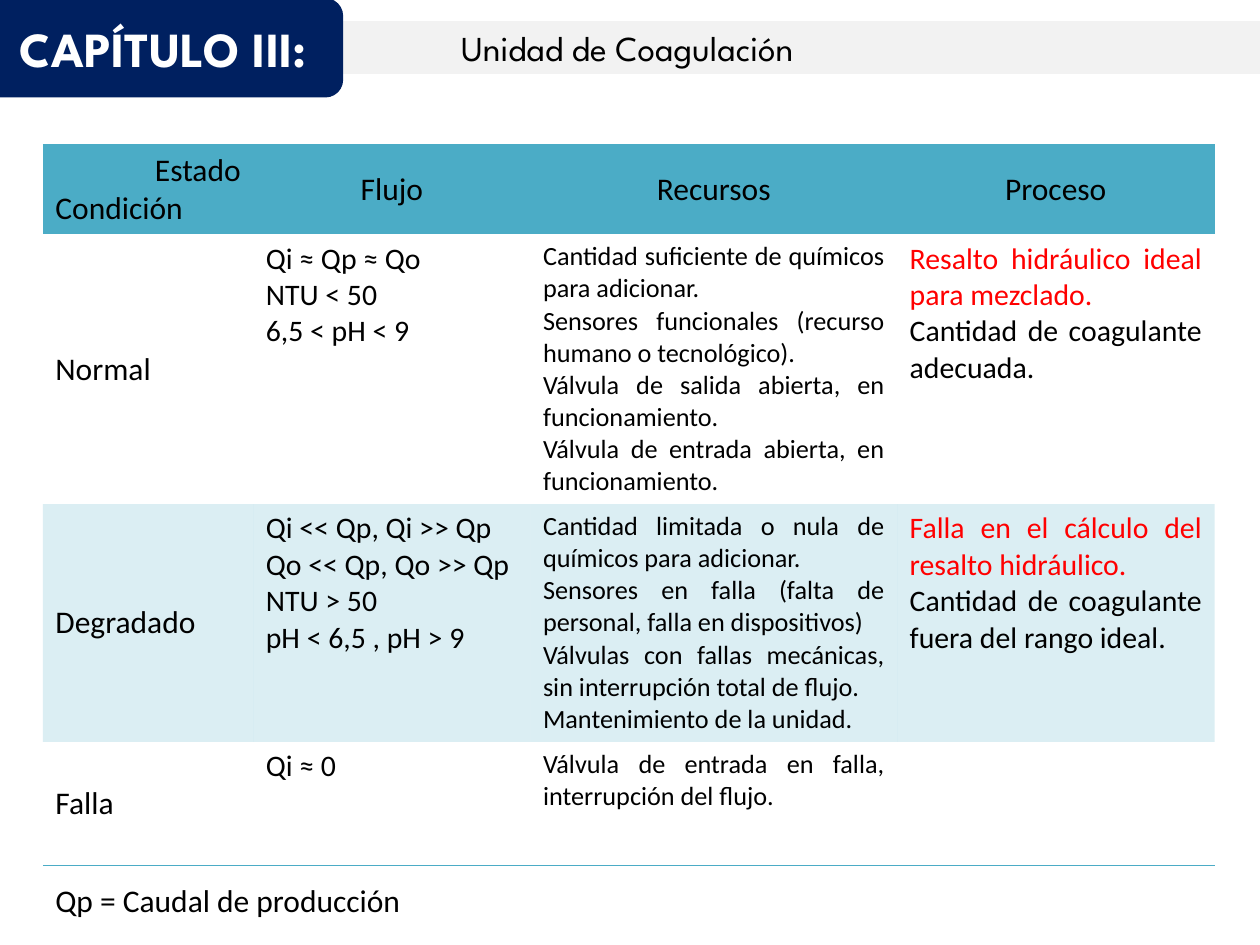
from lxml import etree
from pptx import Presentation
from pptx.dml.color import RGBColor
from pptx.enum import shapes, text
from pptx.oxml.ns import qn
from pptx.util import Inches, Pt

NAVY = RGBColor(0x00, 0x20, 0x60)
TEAL = RGBColor(0x4B, 0xAC, 0xC6)
GREY = RGBColor(0xF2, 0xF2, 0xF2)
RED = RGBColor(0xFF, 0x00, 0x00)
BLACK = RGBColor(0x00, 0x00, 0x00)
WHITE = RGBColor(0xFF, 0xFF, 0xFF)

LEFT, CENTER, RIGHT, JUSTIFY = (
    text.PP_ALIGN.LEFT, text.PP_ALIGN.CENTER, text.PP_ALIGN.RIGHT, text.PP_ALIGN.JUSTIFY)
TOP, MIDDLE, BOTTOM = (
    text.MSO_ANCHOR.TOP, text.MSO_ANCHOR.MIDDLE, text.MSO_ANCHOR.BOTTOM)

NO_STYLE = "{2D5ABB26-0587-4C30-8999-92F81FD0307C}"
COLUMN_WIDTHS = (1.67, 2.2, 2.91, 2.52)
ROW_HEIGHTS = (0.67, 2.01, 1.77, 0.98)
HEADINGS = ("Flujo", "Recursos", "Proceso")
CONDITIONS = (
    ("Normal",
     ("Qi ≈ Qp ≈ Qo", "NTU < 50", "6,5 < pH < 9"),
     ("Cantidad suficiente de químicos para adicionar.",
      "Sensores funcionales (recurso humano o tecnológico).",
      "Válvula de salida abierta, en funcionamiento.",
      "Válvula de entrada abierta, en funcionamiento."),
     ("Resalto hidráulico ideal para mezclado.",
      "Cantidad de coagulante adecuada.")),
    ("Degradado",
     ("Qi << Qp, Qi >> Qp", "Qo << Qp, Qo >> Qp", "NTU > 50", "pH < 6,5 , pH > 9"),
     ("Cantidad limitada o nula de químicos para adicionar.",
      "Sensores en falla (falta de personal, falla en dispositivos)",
      "Válvulas con fallas mecánicas, sin interrupción total de flujo.",
      "Mantenimiento de la unidad."),
     ("Falla en el cálculo del resalto hidráulico.",
      "Cantidad de coagulante fuera del rango ideal.")),
    ("Falla",
     ("Qi ≈ 0",),
     ("Válvula de entrada en falla, interrupción del flujo.",),
     ()),
)


def write(frame, lines, size=18, font="Calibri", bold=False,
          aligns=(LEFT,), colors=(BLACK,)):
    """One paragraph per line; the last alignment and colour serve the remaining lines."""
    for i, line in enumerate(lines):
        paragraph = frame.paragraphs[0] if i == 0 else frame.add_paragraph()
        paragraph.alignment = aligns[min(i, len(aligns) - 1)]
        run = paragraph.add_run()
        run.text = line
        run.font.size = Pt(size)
        run.font.name = font
        run.font.bold = bold
        run.font.color.rgb = colors[min(i, len(colors) - 1)]


def paint(shape, color):
    shape.fill.solid()
    shape.fill.fore_color.rgb = color
    shape.line.color.rgb = color
    shape.line.width = Pt(2)


def add_header(slide, left, top, width):
    unit = slide.shapes.title
    unit.left, unit.top = left + Inches(2.68), top + Inches(0.18)
    unit.width, unit.height = width - Inches(2.68), Inches(0.39)
    paint(unit, GREY)
    frame = unit.text_frame
    frame.auto_size = text.MSO_AUTO_SIZE.NONE
    frame.vertical_anchor = MIDDLE
    frame.margin_left = Inches(1.1)
    write(frame, ["Unidad de Coagulación"], size=20, font="League Spartan")

    chapter = slide.shapes.add_shape(
        shapes.MSO_SHAPE.ROUNDED_RECTANGLE, left, top, Inches(2.83), Inches(0.76))
    chapter.shadow.inherit = False
    paint(chapter, NAVY)
    chapter.text_frame.vertical_anchor = MIDDLE
    write(chapter.text_frame, ["CAPÍTULO III:"], size=28, font="League Spartan",
          bold=True, aligns=[CENTER], colors=[WHITE])


def add_border(cell, side):
    border = etree.SubElement(cell._tc.get_or_add_tcPr(), qn(side), w=str(Pt(1)))
    fill = etree.SubElement(border, qn("a:solidFill"))
    etree.SubElement(fill, qn("a:srgbClr"), val=str(TEAL))


def shade(cell):
    """Teal at 20 % opacity."""
    cell.fill.solid()
    cell.fill.fore_color.rgb = TEAL
    color = cell._tc.tcPr.find(".//" + qn("a:solidFill") + "/" + qn("a:srgbClr"))
    etree.SubElement(color, qn("a:alpha"), val="20000")


def fill_cell(cell, lines, anchor=TOP, **format):
    cell.vertical_anchor = anchor
    write(cell.text_frame, lines, **format)


def add_states_table(slide, left, top):
    states = slide.shapes.add_table(
        len(ROW_HEIGHTS), len(COLUMN_WIDTHS), left, top,
        Inches(sum(COLUMN_WIDTHS)), Inches(sum(ROW_HEIGHTS))).table
    states.first_row = states.horz_banding = False
    states._tbl.tblPr.find(qn("a:tableStyleId")).text = NO_STYLE
    for column, width in zip(states.columns, COLUMN_WIDTHS):
        column.width = Inches(width)
    for r, (row, height) in enumerate(zip(states.rows, ROW_HEIGHTS)):
        row.height = Inches(height)
        for cell in row.cells:
            if r == 0:
                add_border(cell, "a:lnT")
            elif r == len(ROW_HEIGHTS) - 1:
                add_border(cell, "a:lnB")
            if r % 2 == 0:
                shade(cell)
            else:
                cell.fill.background()

    fill_cell(states.cell(0, 0), ["Estado", "Condición"], BOTTOM, aligns=[RIGHT, LEFT])
    for c, heading in enumerate(HEADINGS, 1):
        fill_cell(states.cell(0, c), [heading], MIDDLE, aligns=[CENTER])
    for r, (condition, flow, resources, process) in enumerate(CONDITIONS, 1):
        fill_cell(states.cell(r, 0), [condition], MIDDLE)
        fill_cell(states.cell(r, 1), flow, size=17)
        fill_cell(states.cell(r, 2), resources, size=15, aligns=[JUSTIFY])
        fill_cell(states.cell(r, 3), process, size=17, aligns=[JUSTIFY],
                  colors=[RED, BLACK])


def add_legend(slide, left, top):
    legend = slide.shapes.add_textbox(left, top, Inches(2.98), Inches(0.4)).text_frame
    legend.word_wrap = False
    legend.auto_size = text.MSO_AUTO_SIZE.SHAPE_TO_FIT_TEXT
    write(legend, ["Qp = Caudal de producción"])


def main():
    deck = Presentation()
    deck.slide_width, deck.slide_height = Inches(10), Inches(7.5)
    slide = deck.slides.add_slide(deck.slide_layouts.get_by_name("Title Only"))
    add_header(slide, Inches(-0.12), Inches(0), Inches(10.12))
    add_states_table(slide, Inches(0.34), Inches(1.15))
    add_legend(slide, Inches(0.34), Inches(6.94))
    deck.save("out.pptx")


if __name__ == "__main__":
    main()
